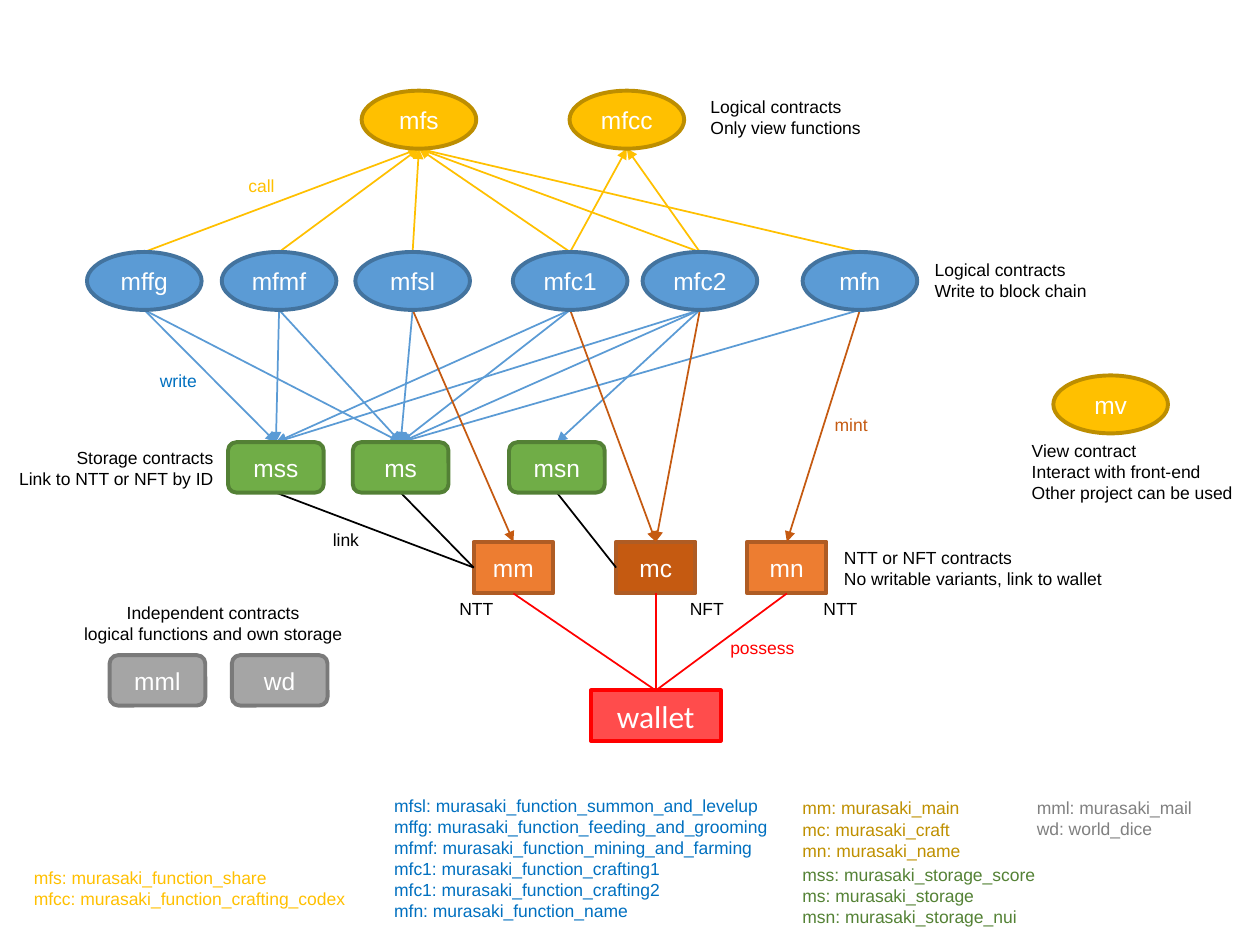
from collections import namedtuple

from lxml.etree import SubElement
from pptx import Presentation
from pptx.dml.color import RGBColor
from pptx.enum.shapes import MSO_CONNECTOR, MSO_SHAPE
from pptx.enum.text import MSO_ANCHOR, MSO_AUTO_SIZE, PP_ALIGN
from pptx.oxml.ns import qn
from pptx.util import Inches, Pt

BLACK = RGBColor(0x00, 0x00, 0x00)
WHITE = RGBColor(0xFF, 0xFF, 0xFF)
RED = RGBColor(0xFF, 0x00, 0x00)
YELLOW = RGBColor(0xFF, 0xC0, 0x00)
YELLOW_EDGE = RGBColor(0xBD, 0x8E, 0x00)
GOLD = RGBColor(0xBF, 0x90, 0x00)
BLUE = RGBColor(0x5B, 0x9B, 0xD5)
BLUE_EDGE = RGBColor(0x43, 0x73, 0x9E)
BLUE_TEXT = RGBColor(0x00, 0x70, 0xC0)
GREEN = RGBColor(0x70, 0xAD, 0x47)
GREEN_EDGE = RGBColor(0x53, 0x80, 0x35)
GREEN_TEXT = RGBColor(0x54, 0x82, 0x35)
ORANGE = RGBColor(0xED, 0x7D, 0x31)
ORANGE_EDGE = RGBColor(0xAF, 0x5C, 0x24)
RUST = RGBColor(0xC5, 0x5A, 0x11)
GREY = RGBColor(0xA5, 0xA5, 0xA5)
GREY_EDGE = RGBColor(0x7A, 0x7A, 0x7A)
GREY_TEXT = RGBColor(0x80, 0x80, 0x80)

Box = namedtuple("Box", "left top width height")
Style = namedtuple("Style", "outline fill edge")

VIEW = Style(MSO_SHAPE.OVAL, YELLOW, YELLOW_EDGE)
LOGIC = Style(MSO_SHAPE.OVAL, BLUE, BLUE_EDGE)
STORAGE = Style(MSO_SHAPE.ROUNDED_RECTANGLE, GREEN, GREEN_EDGE)
INDEPENDENT = Style(MSO_SHAPE.ROUNDED_RECTANGLE, GREY, GREY_EDGE)
TOKEN = Style(MSO_SHAPE.RECTANGLE, ORANGE, ORANGE_EDGE)
CRAFT_TOKEN = TOKEN._replace(fill=RUST)
WALLET = Style(MSO_SHAPE.RECTANGLE, RED, RED)

CALLS = {"mfs": ["mffg", "mfmf", "mfsl", "mfc1", "mfc2", "mfn"], "mfcc": ["mfc1", "mfc2"]}
WRITES = {
    "mss": ["mffg", "mfmf", "mfc1", "mfc2"],
    "ms": ["mffg", "mfmf", "mfsl", "mfc1", "mfc2", "mfn"],
    "msn": ["mfc2"],
}
MINTS = {"mm": ["mfsl"], "mc": ["mfc1", "mfc2"], "mn": ["mfn"]}
LINKS = {"mss": ["mm"], "ms": ["mm"], "msn": ["mc"]}
POSSESSIONS = {"mm": ["wallet"], "mc": ["wallet"], "mn": ["wallet"]}


def node_row(first, offsets):
    """Return the boxes of a row of nodes, shifted right from the first box."""
    return {name: first._replace(left=first.left + shift) for name, shift in offsets.items()}


def anchor(box, side):
    """Return the middle point of one side of a box."""
    across, down = {"top": (0.5, 0), "bottom": (0.5, 1), "left": (0, 0.5)}[side]
    return Inches(box.left + across * box.width), Inches(box.top + down * box.height)


def write_lines(frame, text, size=10, color=BLACK, font="Arial", align=PP_ALIGN.LEFT):
    """Fill a text frame with one paragraph per line of text."""
    for number, line in enumerate(text.split("\n")):
        paragraph = frame.add_paragraph() if number else frame.paragraphs[0]
        paragraph.alignment = align
        run = paragraph.add_run()
        run.text = line
        run.font.size = Pt(size)
        run.font.name = font
        run.font.color.rgb = color


def draw_label(slide, box, text, wrap=True, **text_format):
    """Place a free-standing text in a box."""
    frame = slide.shapes.add_textbox(*map(Inches, box)).text_frame
    frame.word_wrap = wrap
    frame.auto_size = MSO_AUTO_SIZE.SHAPE_TO_FIT_TEXT
    write_lines(frame, text, **text_format)


def draw_node(slide, box, name, style, size=14, font="Arial"):
    """Draw one contract as a filled shape with its short name."""
    node = slide.shapes.add_shape(style.outline, *map(Inches, box))
    node.shadow.inherit = False
    node.fill.solid()
    node.fill.fore_color.rgb = style.fill
    node.line.color.rgb = style.edge
    node.line.width = Pt(2.25)
    node.text_frame.vertical_anchor = MSO_ANCHOR.MIDDLE
    write_lines(node.text_frame, name, size=size, color=WHITE, font=font, align=PP_ALIGN.CENTER)
    return node


def draw_row(slide, row, style):
    """Draw every node of a row in one style."""
    for name, box in row.items():
        draw_node(slide, box, name, style)


def draw_wallet(slide, box):
    """Draw the translucent wallet."""
    wallet = draw_node(slide, box, "wallet", WALLET, size=18, font="Calibri")
    color = wallet.fill._xPr.find(qn("a:solidFill"))[0]
    SubElement(color, qn("a:alpha"), val="70000")


def draw_links(slide, nodes, links, sides, color, arrow=False):
    """Connect the sources of each target to it, from side to side."""
    from_side, to_side = sides
    for target, sources in links.items():
        for source in sources:
            link = slide.shapes.add_connector(
                MSO_CONNECTOR.STRAIGHT,
                *anchor(nodes[source], from_side),
                *anchor(nodes[target], to_side),
            )
            link.line.color.rgb = color
            link.line.width = Pt(1)
            if arrow:
                SubElement(link.line._get_or_add_ln(), qn("a:tailEnd"), type="triangle")
            SubElement(link._element.spPr, qn("a:effectLst"))


def draw_captions(slide, nodes):
    """Describe the layers, the kinds of link and the kinds of token."""
    draw_label(slide, Box(5.54, 0.71, 1.42, 0.44), "Logical contracts\nOnly view functions")
    draw_label(slide, Box(7.32, 2.01, 1.5, 0.44), "Logical contracts\nWrite to block chain")
    draw_label(slide, Box(0, 3.5, 1.79, 0.44), "Storage contracts\nLink to NTT or NFT by ID",
               align=PP_ALIGN.RIGHT)
    draw_label(slide, Box(6.6, 4.29, 2.4, 0.44),
               "NTT or NFT contracts\nNo writable variants, link to wallet")
    draw_label(slide, Box(8.09, 3.44, 1.93, 0.61),
               "View contract\nInteract with front-end\nOther project can be used")
    draw_label(slide, Box(0.48, 4.73, 2.42, 0.44),
               "Independent contracts\nlogical functions and own storage", align=PP_ALIGN.CENTER)
    for token, kind, shift in [("mm", "NTT", -0.28), ("mc", "NFT", 0.42), ("mn", "NTT", 0.44)]:
        box = nodes[token]
        draw_label(slide, Box(box.left + shift, 4.7, 0.6, 0.27), kind, align=PP_ALIGN.CENTER)
    for text, left, top, width, color in [
        ("call", 1.8, 1.34, 0.55, YELLOW),
        ("write", 1.14, 2.89, 0.55, BLUE_TEXT),
        ("mint", 6.48, 3.24, 0.55, RUST),
        ("link", 2.47, 4.15, 0.55, BLACK),
        ("possess", 5.53, 5.01, 1.04, RED),
    ]:
        draw_label(slide, Box(left, top, width, 0.27), text, color=color, align=PP_ALIGN.CENTER)


def draw_legend(slide, box):
    """Spell out the short names, in blocks placed within the legend box."""
    for left, top, width, height, color, text in [
        (0, 0.57, 2.69, 0.44, YELLOW,
         "mfs: murasaki_function_share\nmfcc: murasaki_function_crafting_codex"),
        (2.86, 0, 3.18, 1.11, BLUE_TEXT,
         "mfsl: murasaki_function_summon_and_levelup\n"
         "mffg: murasaki_function_feeding_and_grooming\n"
         "mfmf: murasaki_function_mining_and_farming\n"
         "mfc1: murasaki_function_crafting1\n"
         "mfc1: murasaki_function_crafting2\n"
         "mfn: murasaki_function_name"),
        (6.1, 0.02, 1.47, 0.61, GOLD,
         "mm: murasaki_main\nmc: murasaki_craft\nmn: murasaki_name"),
        (6.1, 0.55, 2.07, 0.61, GREEN_TEXT,
         "mss: murasaki_storage_score\nms: murasaki_storage\nmsn: murasaki_storage_nui"),
        (7.96, 0.02, 1.45, 0.44, GREY_TEXT, "mml: murasaki_mail\nwd: world_dice"),
    ]:
        draw_label(slide, Box(box.left + left, box.top + top, width, height), text,
                   wrap=False, color=color)


def main():
    """Build the contract diagram and save it."""
    deck = Presentation()
    deck.slide_width, deck.slide_height = Inches(10), Inches(7.5)
    slide = deck.slides.add_slide(deck.slide_layouts[6])

    views = node_row(Box(2.87, 0.72, 0.91, 0.46), {"mfs": 0, "mfcc": 1.65})
    logic = node_row(Box(0.69, 2, 0.91, 0.46), {
        "mffg": 0, "mfmf": 1.07, "mfsl": 2.13, "mfc1": 3.38, "mfc2": 4.41, "mfn": 5.68})
    storage = node_row(Box(1.81, 3.51, 0.76, 0.4), {"mss": 0, "ms": 0.99, "msn": 2.23})
    tokens = node_row(Box(3.76, 4.3, 0.63, 0.41), {"mm": 0, "mc": 1.13, "mn": 2.17})
    independents = node_row(Box(0.87, 5.2, 0.76, 0.4), {"mml": 0, "wd": 0.97})
    wallet = Box(4.69, 5.48, 1.03, 0.4)
    nodes = {**views, **logic, **storage, **tokens, "wallet": wallet}

    for name, box in tokens.items():
        draw_node(slide, box, name, CRAFT_TOKEN if name == "mc" else TOKEN)
    draw_links(slide, nodes, WRITES, ("bottom", "top"), BLUE, arrow=True)
    draw_links(slide, nodes, MINTS, ("bottom", "top"), RUST, arrow=True)
    draw_links(slide, nodes, CALLS, ("top", "bottom"), YELLOW, arrow=True)
    draw_wallet(slide, wallet)
    draw_links(slide, nodes, POSSESSIONS, ("top", "bottom"), RED)
    draw_links(slide, nodes, LINKS, ("left", "bottom"), BLACK)
    draw_captions(slide, nodes)
    draw_legend(slide, Box(0.17, 6.26, 9.41, 1.16))
    draw_row(slide, independents, INDEPENDENT)
    draw_row(slide, views, VIEW)
    draw_row(slide, logic, LOGIC)
    draw_row(slide, storage, STORAGE)
    draw_node(slide, Box(8.36, 2.98, 0.91, 0.46), "mv", VIEW)
    deck.save("out.pptx")


if __name__ == "__main__":
    main()
